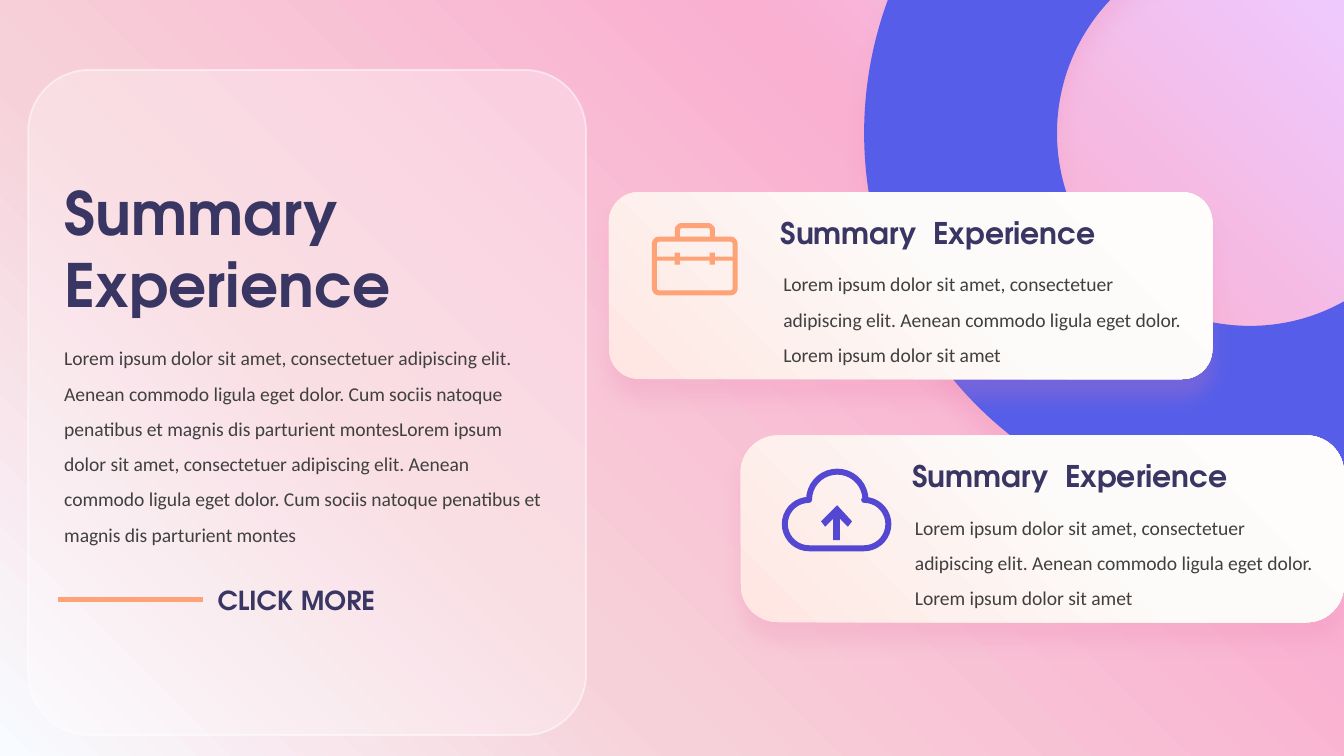
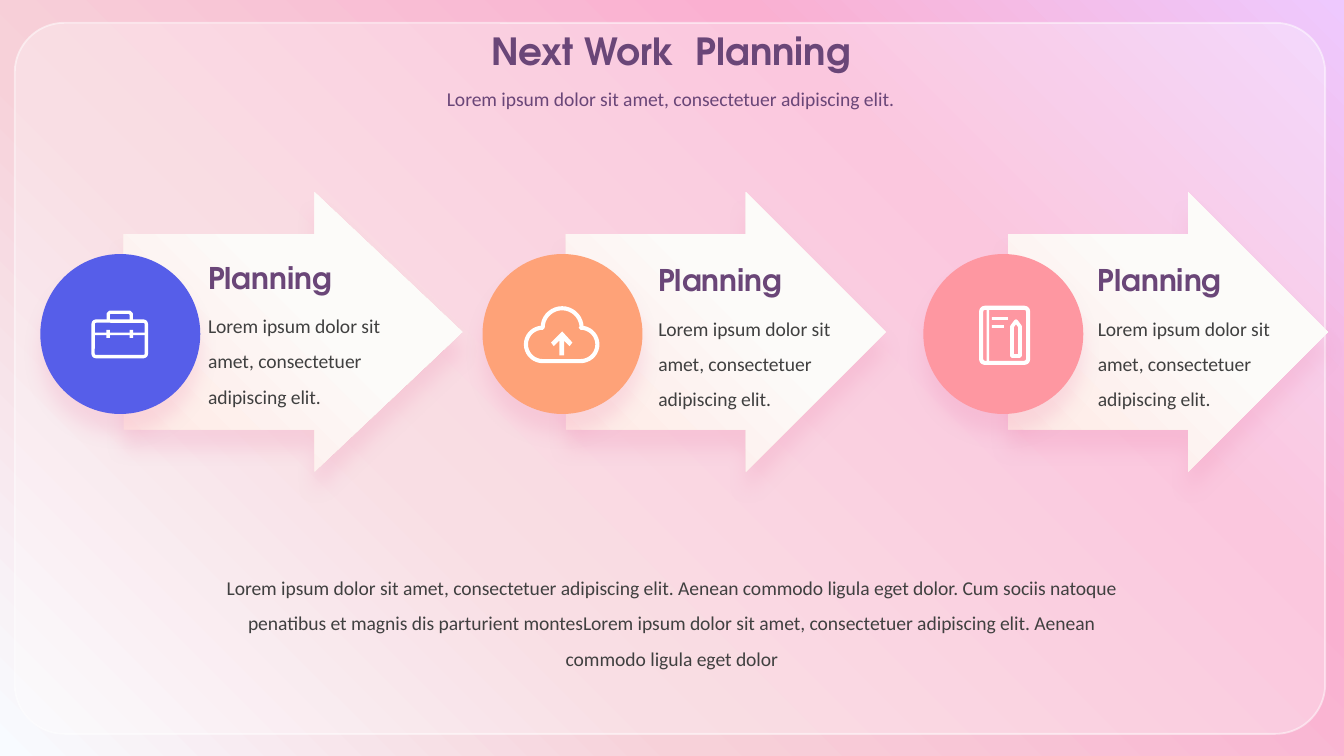
from math import cos, radians, sin

from lxml import etree
from pptx import Presentation
from pptx.dml.color import RGBColor
from pptx.enum.shapes import MSO_CONNECTOR, MSO_SHAPE
from pptx.enum.text import MSO_ANCHOR, MSO_AUTO_SIZE, PP_ALIGN
from pptx.oxml.ns import qn
from pptx.util import Pt

ROUND, RECT, OVAL = MSO_SHAPE.ROUNDED_RECTANGLE, MSO_SHAPE.RECTANGLE, MSO_SHAPE.OVAL
DONUT, ARROW = MSO_SHAPE.DONUT, MSO_SHAPE.RIGHT_ARROW
LEFT, CENTER = PP_ALIGN.LEFT, PP_ALIGN.CENTER
PX = 9144  # 100 px to the inch
HEAD, BODY = "TeX Gyre Adventor", "Calibri"
COLORS = {
    "navy": "393663", "plum": "6A4678", "text": "404040", "white": "FFFFFF",
    "blue": "565EE9", "violet": "5448D2", "orange": "FEA278", "pink": "FE97A1",
    "shadow": "EB81AC",
}
BACKDROP = [(0, "F8FBFF"), (33, "F7D1D9"), (71, "FAB0D1"), (100, "EEC9FE")]
PEARL = [(0, "FFE6E2"), (58, "FCFBF9"), (100, "FEFDFC")]
LOREM = "Lorem ipsum dolor sit amet, consectetuer adipiscing elit."
AENEAN = LOREM + " Aenean commodo ligula eget dolor"
CUM = ". Cum sociis natoque penatibus et magnis dis parturient montes"


def draw(slide, kind, geometry, fill=None, line=None, weight=1, shadow=False):
    """Add a preset shape from a box, or an outline (kind "open"/"closed") from points."""
    if kind in ("open", "closed"):
        points = [(round(x * PX), round(y * PX)) for x, y in geometry]
        builder = slide.shapes.build_freeform(*points[0])
        builder.add_line_segments(points[1:], close=kind == "closed")
        shape = builder.convert_to_shape()
    else:
        shape = slide.shapes.add_shape(kind, *[round(v * PX) for v in geometry])
    shape.shadow.inherit = False
    if fill:
        shape.fill.solid()
        shape.fill.fore_color.rgb = RGBColor.from_string(COLORS[fill])
    else:
        shape.fill.background()
    if line:
        shape.line.color.rgb = RGBColor.from_string(COLORS[line])
        shape.line.width = Pt(weight)
    else:
        shape.line.fill.background()
    if shadow:
        effects = shape._element.spPr.find(qn("a:effectLst"))
        outer = etree.SubElement(effects, qn("a:outerShdw"), blurRad=str(Pt(10)),
                                 dist=str(Pt(10)), dir="5400000", algn="t", rotWithShape="0")
        tint = etree.SubElement(outer, qn("a:srgbClr"), val=COLORS["shadow"])
        etree.SubElement(tint, qn("a:alpha"), val="20000")
    return shape


def write(slide, box, text, size=10.5, color="text", font=BODY, align=LEFT, spacing=1.5,
          holder=None):
    """Write one paragraph in a new text box or in the given placeholder."""
    left, top, width, height = [v * PX for v in box]
    holder = holder or slide.shapes.add_textbox(left, top, width, height)
    holder.left, holder.top, holder.width, holder.height = left, top, width, height
    frame = holder.text_frame
    frame.word_wrap = True
    frame.auto_size = MSO_AUTO_SIZE.NONE
    frame.vertical_anchor = MSO_ANCHOR.TOP
    frame.text = text
    paragraph = frame.paragraphs[0]
    paragraph.alignment = align
    paragraph.line_spacing = spacing
    paragraph.font.name = font
    paragraph.font.size = Pt(size)
    paragraph.font.bold = font == HEAD
    paragraph.font.color.rgb = RGBColor.from_string(COLORS[color])


prs = Presentation()
prs.slide_width = 1000 * PX
prs.slide_height = prs.slide_width * 9 // 16
master = prs.slide_master
gradients = [(master._element, master.background.fill, BACKDROP)]

# Both slides: translucent panel with the title above it
slides = []
for panel_box, corner, title_box, title, size, color, align in [
    ((21, 52, 415, 495), 0.11, (38, 126, 330, 118), "Summary  Experience", 32, "navy", LEFT),
    ((11, 17, 975, 529), 0.07, (341, 16, 317, 44), "Next Work  Planning", 20, "plum", CENTER),
]:
    slide = prs.slides.add_slide(prs.slide_layouts[5])
    panel = draw(slide, ROUND, panel_box, "white", "white")
    panel.adjustments[0] = corner
    fill_white, line_white = panel._element.spPr.xpath(".//a:srgbClr")
    etree.SubElement(fill_white, qn("a:alpha"), val="30000")
    etree.SubElement(line_white, qn("a:alpha"), val="50000")
    heading = slide.shapes.title
    slide.shapes._spTree.append(heading._element)
    write(slide, title_box, title, size, color, HEAD, align, 1.0, heading)
    slides.append(slide)
summary, planning = slides

# Summary: ring and the two cards
draw(summary, DONUT, (643, -188, 574, 574), "blue", shadow=True)
for x, y, corner in [(453, 143, 0.16), (551, 324, 0.2)]:
    card = draw(summary, ROUND, (x, y, 449, 139), "white", shadow=True)
    card.adjustments[0] = corner
    gradients.append((card._element, card.fill, PEARL))
    write(summary, (x + 118, y + 12, 266, 37), "Summary  Experience", 16, "navy", HEAD,
          spacing=1.0)
    write(summary, (x + 120, y + 46, 320, 87), AENEAN + ". Lorem ipsum dolor sit amet")

# Summary: main text and call to action
write(summary, (38, 244, 380, 166), AENEAN + CUM + AENEAN + CUM)
rule = summary.shapes.add_connector(MSO_CONNECTOR.STRAIGHT, 43 * PX, 446 * PX, 151 * PX, 446 * PX)
rule.line.color.rgb = RGBColor.from_string(COLORS["orange"])
rule.line.width = Pt(3)
etree.SubElement(rule._element.spPr, qn("a:effectLst"))
write(summary, (152, 430, 141, 34), "CLICK MORE", 14, "navy", HEAD, spacing=1.0)

# Planning: subtitle, three steps, closing text
write(planning, (283, 60, 432, 28), LOREM, color="plum", align=CENTER, spacing=1.0)
for disc_x, arrow_x, length, head, text_x, text_y, color in [
    (30, 92, 252, 110, 145, 188, "blue"),
    (359, 421, 238, 104, 480, 190, "orange"),
    (687, 750, 238, 104, 807, 190, "pink"),
]:
    arrow = draw(planning, ARROW, (arrow_x, 143, length, 208), "white", shadow=True)
    arrow.adjustments[0], arrow.adjustments[1] = 0.7, head / 208
    gradients.append((arrow._element, arrow.fill, PEARL))
    draw(planning, OVAL, (disc_x, 189, 119, 119), color, shadow=True)
    write(planning, (text_x, text_y, 163, 40), "Planning", 16, "plum", HEAD, spacing=1.0)
    write(planning, (text_x, text_y + 32, 163, 84), LOREM)
write(planning, (153, 415, 694, 87), AENEAN + CUM + AENEAN, align=CENTER)

# Briefcase icons
for slide, x, y, k, color in [(summary, 485, 166, 1, "orange"), (planning, 68, 231, 0.66, "white")]:
    weight = 2.7 * k
    case = draw(slide, ROUND, (x + 2 * k, y + 12 * k, 60 * k, 40 * k), None, color, weight)
    case.adjustments[0] = 0.08
    handle = [(19, 12), (19, 4), (21, 2), (43, 2), (45, 4), (45, 12)]
    draw(slide, "open", [(x + a * k, y + b * k) for a, b in handle], None, color, weight)
    for a, b, w, h in [(2, 25, 60, 3), (17, 22, 4, 9), (43, 22, 4, 9)]:
        draw(slide, RECT, (x + a * k, y + b * k, w * k, h * k), color)

# Cloud upload icons: three arcs closed by a flat base
cloud = [(cx + r * cos(radians(angle)), cy + r * sin(radians(angle)))
         for cx, cy, r, start, end in [(20, 41, 18, 90, 270), (41, 23, 21, 180, 360),
                                       (61, 41, 18, -90, 90)]
         for angle in range(start, end + 1, 10)]
upload = [(29, 39), (32, 43), (38, 37), (38, 53), (43, 53), (43, 37), (49, 43), (52, 39), (41, 27)]
for slide, x, y, k, color in [(summary, 582, 349, 1, "violet"), (planning, 390, 228, 0.69, "white")]:
    draw(slide, "closed", [(x + a * k, y + b * k) for a, b in cloud], None, color, 3.2 * k)
    draw(slide, "closed", [(x + a * k, y + b * k) for a, b in upload], color)

# Notebook icon
cover = draw(planning, ROUND, (730, 229, 35, 41), None, "white", 2.2)
cover.adjustments[0] = 0.08
for bar in [(734, 230, 2, 39), (738, 236, 12, 2), (738, 242, 9, 2)]:
    draw(planning, RECT, bar, "white")
pencil = [(753, 243), (756, 239), (759, 243), (759, 265), (753, 265)]
draw(planning, "closed", pencil, None, "white", 2)

# Diagonal gradients
for element, fill, stops in gradients:
    fill.gradient()
    fill.gradient_angle = 45
    stop_list = element.xpath(".//a:gsLst")[0]
    stop_list.clear()
    for position, color in stops:
        stop = etree.SubElement(stop_list, qn("a:gs"), pos=str(position * 1000))
        etree.SubElement(stop, qn("a:srgbClr"), val=color)

prs.save("out.pptx")
